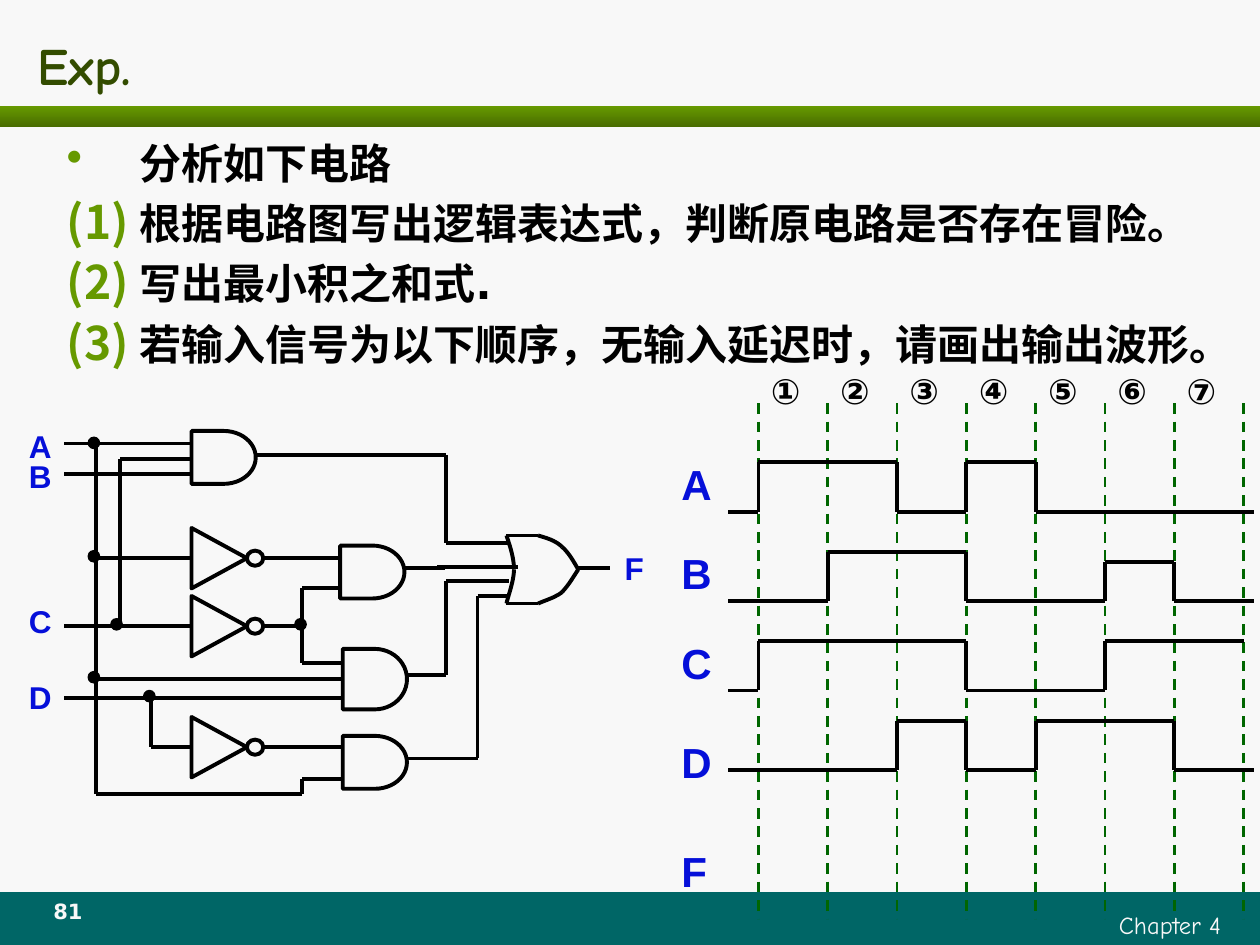
"""Build the hazard analysis exercise slide: a gate circuit beside its input waveforms."""
from itertools import pairwise
from typing import NamedTuple

from lxml.etree import SubElement
from pptx import Presentation
from pptx.dml.color import RGBColor
from pptx.enum.dml import MSO_LINE
from pptx.enum.shapes import MSO_CONNECTOR, MSO_SHAPE
from pptx.enum.text import MSO_ANCHOR, PP_ALIGN
from pptx.oxml.ns import qn
from pptx.util import Inches, Pt

BLACK = RGBColor(0x00, 0x00, 0x00)
PAPER = RGBColor(0xF8, 0xF8, 0xF8)
TEAL = RGBColor(0x00, 0x66, 0x66)
LEAF = RGBColor(0x66, 0x99, 0x00)
MOSS = RGBColor(0x49, 0x6D, 0x00)
OLIVE = RGBColor(0x33, 0x4C, 0x00)
BLUE = RGBColor(0x05, 0x0F, 0xD9)
GREEN = RGBColor(0x00, 0x66, 0x00)

Point = tuple[float, float]


class Box(NamedTuple):
    left: float
    top: float
    width: float
    height: float


class Style(NamedTuple):
    size: float
    font: str
    color: RGBColor
    bold: bool = True


class Pulse(NamedTuple):
    first: int
    last: int
    height: float = 0.39


class Wave(NamedTuple):
    name: str
    label_top: float
    base: float
    pulses: tuple[Pulse, ...]


FIRST_EDGE, PERIOD, PERIODS = 6.02, 0.55, 7
WAVE_START, WAVE_END = 5.78, 9.95

QUESTIONS = (
    "分析如下电路",
    "根据电路图写出逻辑表达式，判断原电路是否存在冒险。",
    "写出最小积之和式.",
    "若输入信号为以下顺序，无输入延迟时，请画出输出波形。",
)
WAVES = (
    Wave("A", 3.59, 4.06, (Pulse(0, 2), Pulse(3, 4))),
    Wave("B", 4.3, 4.77, (Pulse(1, 3), Pulse(5, 6, 0.31))),
    Wave("C", 5.01, 5.48, (Pulse(0, 3), Pulse(5, 7))),
    Wave("D", 5.8, 6.11, (Pulse(2, 3), Pulse(4, 6))),
)
TERMINALS = {"A": (0.13, 3.34), "B": (0.13, 3.58), "C": (0.13, 4.73),
             "D": (0.13, 5.33), "F": (4.86, 4.31)}
AND_GATES = (Box(1.52, 3.42, 0.51, 0.42), Box(2.7, 4.33, 0.51, 0.42),
             Box(2.72, 5.15, 0.51, 0.48), Box(2.72, 5.84, 0.51, 0.42))
INVERTER_AXES = (4.43, 4.97, 5.93)
JUNCTIONS = ((0.7, 3.47), (0.88, 4.91), (0.7, 4.37), (2.34, 4.91), (0.7, 5.33), (1.14, 5.48))
WIRES = (
    ((0.51, 3.52), (1.52, 3.52)),
    ((0.51, 3.76), (1.52, 3.76)),
    ((1.52, 3.64), (0.95, 3.64), (0.95, 4.97)),
    ((0.76, 3.52), (0.76, 6.3), (2.4, 6.3), (2.4, 6.18), (2.72, 6.18)),
    ((0.76, 4.43), (1.52, 4.43)),
    ((0.51, 4.97), (1.52, 4.97)),
    ((0.76, 5.39), (2.72, 5.39)),
    ((0.51, 5.54), (2.72, 5.54)),
    ((1.2, 5.54), (1.2, 5.93), (1.52, 5.93)),
    ((2.09, 4.43), (2.7, 4.43)),
    ((2.09, 4.97), (2.4, 4.97)),
    ((2.7, 4.67), (2.4, 4.67), (2.4, 5.26), (2.72, 5.26)),
    ((2.09, 5.93), (2.72, 5.93)),
    ((2.02, 3.61), (3.54, 3.61), (3.54, 4.31), (4.04, 4.31)),
    ((3.21, 4.51), (3.53, 4.51)),
    ((3.47, 4.5), (4.11, 4.5)),
    ((3.22, 5.36), (3.54, 5.36), (3.54, 4.61), (4.04, 4.61)),
    ((3.22, 6.02), (3.79, 6.02), (3.79, 4.73), (4.04, 4.73)),
    ((4.02, 4.25), (4.27, 4.25)),
    ((4.02, 4.79), (4.27, 4.79)),
    ((4.59, 4.51), (4.84, 4.51)),
)
OR_GATE_CURVES = (
    ((4.02, 4.25), (4.05, 4.34), (4.08, 4.43), (4.08, 4.52)),
    ((4.08, 4.52), (4.08, 4.61), (4.03, 4.74), (4.02, 4.79)),
    ((4.27, 4.25), (4.34, 4.27), (4.41, 4.29), (4.46, 4.34)),
    ((4.46, 4.34), (4.51, 4.38), (4.55, 4.45), (4.59, 4.52)),
    ((4.27, 4.79), (4.34, 4.76), (4.41, 4.74), (4.46, 4.7)),
    ((4.46, 4.7), (4.51, 4.65), (4.55, 4.58), (4.59, 4.52)),
)


def set_font(para, style: Style) -> None:
    """Apply a text style to a paragraph."""
    para.font.size, para.font.name, para.font.bold = Pt(style.size), style.font, style.bold
    para.font.color.rgb = style.color


def add_text(page, box: Box, lines: tuple[str, ...], style: Style,
             align=PP_ALIGN.LEFT, anchor=MSO_ANCHOR.TOP):
    """Add a wrapped text box and return its frame."""
    frame = page.shapes.add_textbox(*map(Inches, box)).text_frame
    frame.word_wrap, frame.vertical_anchor = True, anchor
    frame.text = "\n".join(lines)
    for para in frame.paragraphs:
        para.alignment = align
        set_font(para, style)
    return frame


def add_preset(page, kind, box: Box, fill: RGBColor | None = None, weight: float = 2.25):
    """Add a preset shape with a black outline, or none at zero weight."""
    shape = page.shapes.add_shape(kind, *map(Inches, box))
    shape.shadow.inherit = False
    if fill is None:
        shape.fill.background()
    else:
        shape.fill.solid()
        shape.fill.fore_color.rgb = fill
    if weight:
        shape.line.color.rgb, shape.line.width = BLACK, Pt(weight)
    else:
        shape.line.fill.background()
    return shape


def add_wire(page, points, color: RGBColor = BLACK, weight: float = 2.25, dash=None) -> None:
    """Join successive points with straight connectors."""
    for start, end in pairwise(points):
        wire = page.shapes.add_connector(MSO_CONNECTOR.STRAIGHT, *map(Inches, (*start, *end)))
        wire.line.color.rgb, wire.line.width = color, Pt(weight)
        if dash:
            wire.line.dash_style = dash
        SubElement(wire._element.spPr, qn("a:effectLst"))


def add_curve(page, controls: tuple[Point, ...], steps: int = 12) -> None:
    """Draw a cubic curve as an open freeform."""
    points = []
    for step in range(steps + 1):
        t = step / steps
        weights = ((1 - t) ** 3, 3 * t * (1 - t) ** 2, 3 * t * t * (1 - t), t ** 3)
        points.append(tuple(Inches(sum(w * c for w, c in zip(weights, axis)))
                            for axis in zip(*controls)))
    builder = page.shapes.build_freeform(*points[0])
    builder.add_line_segments(points[1:], close=False)
    curve = builder.convert_to_shape()
    curve.shadow.inherit = False
    curve.fill.background()
    curve.line.color.rgb, curve.line.width = BLACK, Pt(2.25)


def edge(index: int) -> float:
    """Return the position of a clock edge."""
    return FIRST_EDGE + index * PERIOD


def add_wave(page, wave: Wave) -> None:
    """Draw a labelled waveform."""
    points = [(WAVE_START, wave.base)]
    for pulse in wave.pulses:
        left, right, high = edge(pulse.first), edge(pulse.last), wave.base - pulse.height
        points += [(left, wave.base), (left, high), (right, high)]
        if pulse.last < PERIODS:
            points.append((right, wave.base))
    if wave.pulses[-1].last < PERIODS:
        points.append((WAVE_END, wave.base))
    add_wire(page, points)
    add_text(page, Box(5.31, wave.label_top, 0.47, 0.5), (wave.name,), Style(24, "Arial", BLUE))


def add_bullet(para, kind: str, **attributes: str) -> None:
    """Give a paragraph a hanging green bullet or number."""
    props = para._p.get_or_add_pPr()
    props.set("marL", str(Inches(0.58)))
    props.set("indent", str(Inches(-0.58)))
    para.space_before = Pt(5.7)
    SubElement(SubElement(props, qn("a:buClr")), qn("a:srgbClr"), val=str(LEAF))
    SubElement(props, qn("a:buSzPct"), val="110000")
    SubElement(props, qn(kind), **attributes)


def add_frame(page) -> None:
    """Draw the background, bands, title, footer and questions."""
    page.background.fill.solid()
    page.background.fill.fore_color.rgb = PAPER
    add_preset(page, MSO_SHAPE.RECTANGLE, Box(0, 7.08, 10, 0.42), TEAL, 0)
    band = add_preset(page, MSO_SHAPE.RECTANGLE, Box(0, 0.84, 10, 0.17), LEAF, 0)
    band.fill.gradient()
    band.fill.gradient_angle = 270
    for stop, color, position in zip(band.fill.gradient_stops, (LEAF, MOSS), (0, 1)):
        stop.color.rgb, stop.position = color, position
    add_text(page, Box(5.79, 7.17, 4, 0.33), ("Chapter 4",),
             Style(14, "Comic Neue", PAPER, False), PP_ALIGN.RIGHT)
    add_text(page, Box(0.25, 7.08, 0.58, 0.33), ("81",),
             Style(12, "DejaVu Sans", PAPER), PP_ALIGN.CENTER)
    add_text(page, Box(0.2, 0.17, 9.55, 0.68), ("Exp.",),
             Style(30, "Comic Neue", OLIVE), anchor=MSO_ANCHOR.MIDDLE)
    body = add_text(page, Box(0.43, 1.04, 9.25, 5.54), QUESTIONS, Style(24, "DejaVu Sans", BLACK))
    lead, *numbered = body.paragraphs
    add_bullet(lead, "a:buChar", char="•")
    for para in numbered:
        add_bullet(para, "a:buAutoNum", type="arabicParenBoth")


def add_circuit(page) -> None:
    """Draw the gate circuit."""
    for points in WIRES:
        add_wire(page, points)
    for box in AND_GATES:
        add_preset(page, MSO_SHAPE.FLOWCHART_DELAY, box)
    for axis in INVERTER_AXES:
        add_preset(page, MSO_SHAPE.ISOSCELES_TRIANGLE, Box(1.5, axis - 0.22, 0.48, 0.44)).rotation = 90
        add_preset(page, MSO_SHAPE.OVAL, Box(1.96, axis - 0.06, 0.13, 0.12))
    for controls in OR_GATE_CURVES:
        add_curve(page, controls)
    for left, top in JUNCTIONS:
        add_preset(page, MSO_SHAPE.OVAL, Box(left, top, 0.09, 0.09), BLACK, 0.75)
    for name, (left, top) in TERMINALS.items():
        add_text(page, Box(left, top, 0.38, 0.38), (name,), Style(18, "Arial", BLUE))


def add_timing(page) -> None:
    """Draw the clock edges, period numbers and waveforms."""
    for index in range(PERIODS + 1):
        add_wire(page, ((edge(index), 3.2), (edge(index), 7.29)), GREEN, 1.5, MSO_LINE.DASH)
    for index, number in enumerate("①②③④⑤⑥⑦"):
        add_text(page, Box(edge(index), 2.88, 0.5, 0.43), (number,), Style(20, "Arial", BLACK))
    for wave in WAVES:
        add_wave(page, wave)
    add_text(page, Box(5.31, 6.66, 0.47, 0.5), ("F",), Style(24, "Arial", BLUE))


def main() -> None:
    """Build and save the deck."""
    deck = Presentation()
    deck.slide_width, deck.slide_height = Inches(10), Inches(7.5)
    page = deck.slides.add_slide(deck.slide_layouts[6])
    add_frame(page)
    add_circuit(page)
    add_timing(page)
    deck.save("out.pptx")


if __name__ == "__main__":
    main()
